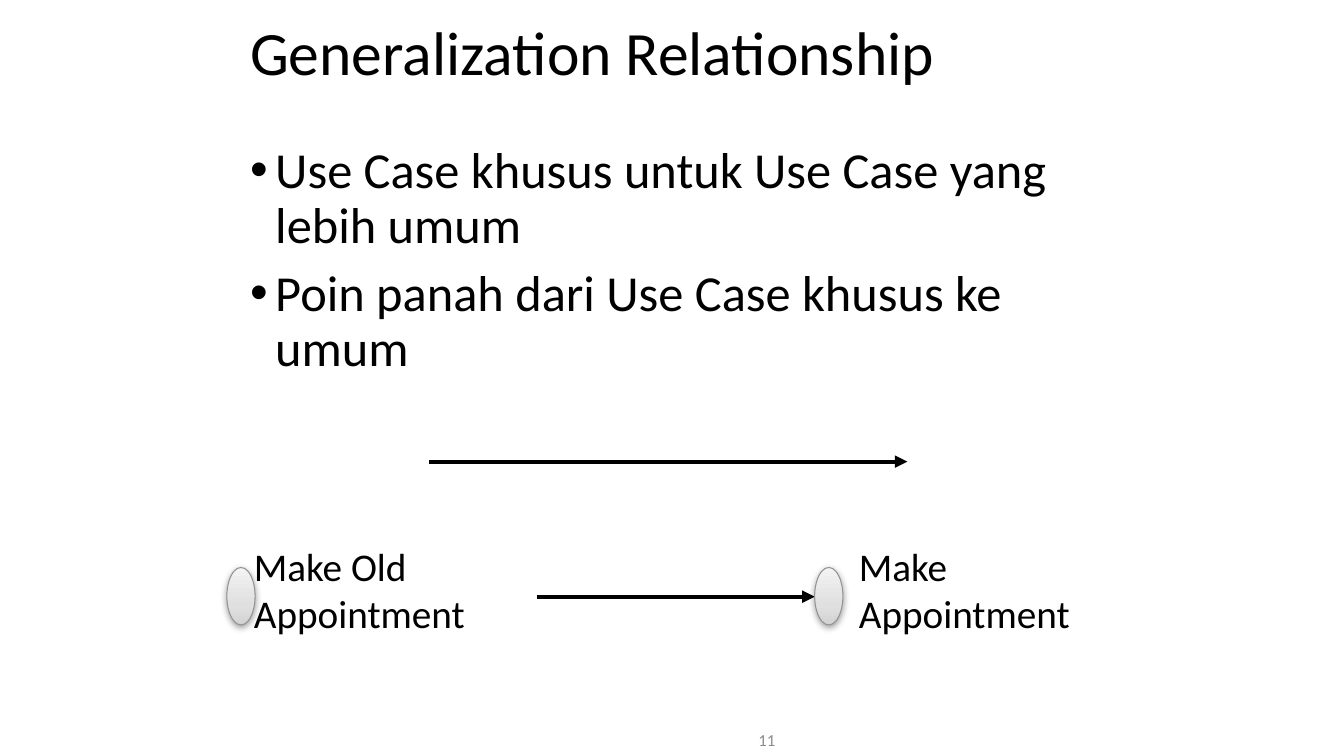
"""Build the slide on generalization relationships between use cases."""
from lxml import etree
from pptx import Presentation
from pptx.dml.color import RGBColor
from pptx.enum.shapes import MSO_CONNECTOR, MSO_SHAPE
from pptx.enum.text import MSO_ANCHOR, MSO_AUTO_SIZE, PP_ALIGN
from pptx.oxml import parse_xml
from pptx.oxml.ns import nsdecls, qn
from pptx.util import Inches, Pt

STRAIGHT = MSO_CONNECTOR.STRAIGHT
OVAL = MSO_SHAPE.OVAL
MIDDLE, TOP = MSO_ANCHOR.MIDDLE, MSO_ANCHOR.TOP
LEFT, RIGHT = PP_ALIGN.LEFT, PP_ALIGN.RIGHT
NO_FIT = MSO_AUTO_SIZE.NONE

FONT = "Calibri"
BLACK, GREY, OUTLINE = "000000", "8C8C8C", "939393"
TITLE = "Generalization Relationship"
BULLETS = [
    "Use Case khusus untuk Use Case yang lebih umum",
    "Poin panah dari Use Case khusus ke umum",
]
GENERAL_X, SPECIAL_X = 8.08, 2.25
OVAL_Y, OVAL_W, OVAL_H = 5.63, 0.28, 0.57
ARROWS = [(9, 4.25, 4.58), (GENERAL_X, 5.33, 5.92)]
USE_CASES = [
    (GENERAL_X, (8.42, 5.33, 2.58, 1.04), ["Make", "Appointment"]),
    (SPECIAL_X, (2.42, 5.33, 2.92, 1.04), ["Make Old", "Appointment"]),
]
GRADIENT = [(0, "D3D3D3"), (35, "E0E0E0"), (100, "F3F3F3")]


def rgb(color):
    return RGBColor.from_string(color)


def place(sp, box):
    sp.left, sp.top, sp.width, sp.height = map(Inches, box)


def add_run(p, text, size, color=BLACK):
    r = p.add_run()
    r.text = text
    r.font.name, r.font.size = FONT, Pt(size)
    r.font.color.rgb = rgb(color)


def frame(sp, anchor):
    tf = sp.text_frame
    tf.word_wrap, tf.auto_size, tf.vertical_anchor = True, NO_FIT, anchor
    return tf


def add_label(slide, box, lines, size, color=BLACK, align=LEFT, anchor=TOP):
    tf = frame(slide.shapes.add_textbox(*map(Inches, box)), anchor)
    p = tf.paragraphs[0]
    p.alignment = align
    for i, line in enumerate(lines):
        if i:
            p.add_line_break()
        add_run(p, line, size, color)


def add_bullet(p, text, first):
    pPr = p._p.get_or_add_pPr()
    pPr.set("marL", str(Inches(0.25)))
    pPr.set("indent", str(-Inches(0.25)))
    etree.SubElement(pPr, qn("a:buFont"), typeface="Arial")
    etree.SubElement(pPr, qn("a:buChar"), char="•")
    p.line_spacing = 0.9
    p.space_before = Pt(0 if first else 10)
    add_run(p, text, 36)


def add_arrow(slide, head_x, tail_x, y):
    line = slide.shapes.add_connector(
        STRAIGHT, Inches(head_x), Inches(y), Inches(tail_x), Inches(y))
    line.line.color.rgb = rgb(BLACK)
    line.line.width = Pt(3)
    spPr = line._element.spPr
    etree.SubElement(spPr.find(qn("a:ln")), qn("a:headEnd"), type="triangle")
    etree.SubElement(spPr, qn("a:effectLst"))


def add_oval(slide, x):
    sp = slide.shapes.add_shape(
        OVAL, *map(Inches, (x, OVAL_Y, OVAL_W, OVAL_H)))
    sp.line.color.rgb = rgb(OUTLINE)
    sp.line.width = Pt(0.75)
    stops = "".join(
        f'<a:gs pos="{pos * 1000}"><a:srgbClr val="{color}"/></a:gs>'
        for pos, color in GRADIENT)
    ln = sp._element.spPr.find(qn("a:ln"))
    ln.addprevious(parse_xml(
        f'<a:gradFill {nsdecls("a")} rotWithShape="1"><a:gsLst>{stops}</a:gsLst>'
        '<a:lin ang="16200000" scaled="0"/></a:gradFill>'))
    ln.addnext(parse_xml(
        f'<a:effectLst {nsdecls("a")}><a:outerShdw blurRad="{Pt(5)}" '
        f'dist="{Pt(1.6)}" dir="5400000" rotWithShape="0"><a:srgbClr val="{BLACK}">'
        '<a:alpha val="38000"/></a:srgbClr></a:outerShdw></a:effectLst>'))


def main():
    prs = Presentation()
    prs.slide_width, prs.slide_height = Inches(13.33), Inches(7.5)
    slide = prs.slides.add_slide(prs.slide_layouts[1])
    title, body = slide.placeholders

    place(title, (2.38, 0.17, 9.38, 0.76))
    p = frame(title, MIDDLE).paragraphs[0]
    p.alignment, p.line_spacing = LEFT, 0.9
    add_run(p, TITLE, 44)

    place(body, (2.38, 1.39, 8.54, 5.24))
    tf = frame(body, TOP)
    for i, text in enumerate(BULLETS):
        p = tf.add_paragraph() if i else tf.paragraphs[0]
        add_bullet(p, text, i == 0)

    for arrow in ARROWS:
        add_arrow(slide, *arrow)
    for x, box, lines in USE_CASES:
        add_oval(slide, x)
        add_label(slide, box, lines, 28)
    add_label(slide, (5.54, 7.17, 2.25, 0.33), ["11"], 12, GREY, RIGHT, MIDDLE)
    prs.save("out.pptx")


if __name__ == "__main__":
    main()
